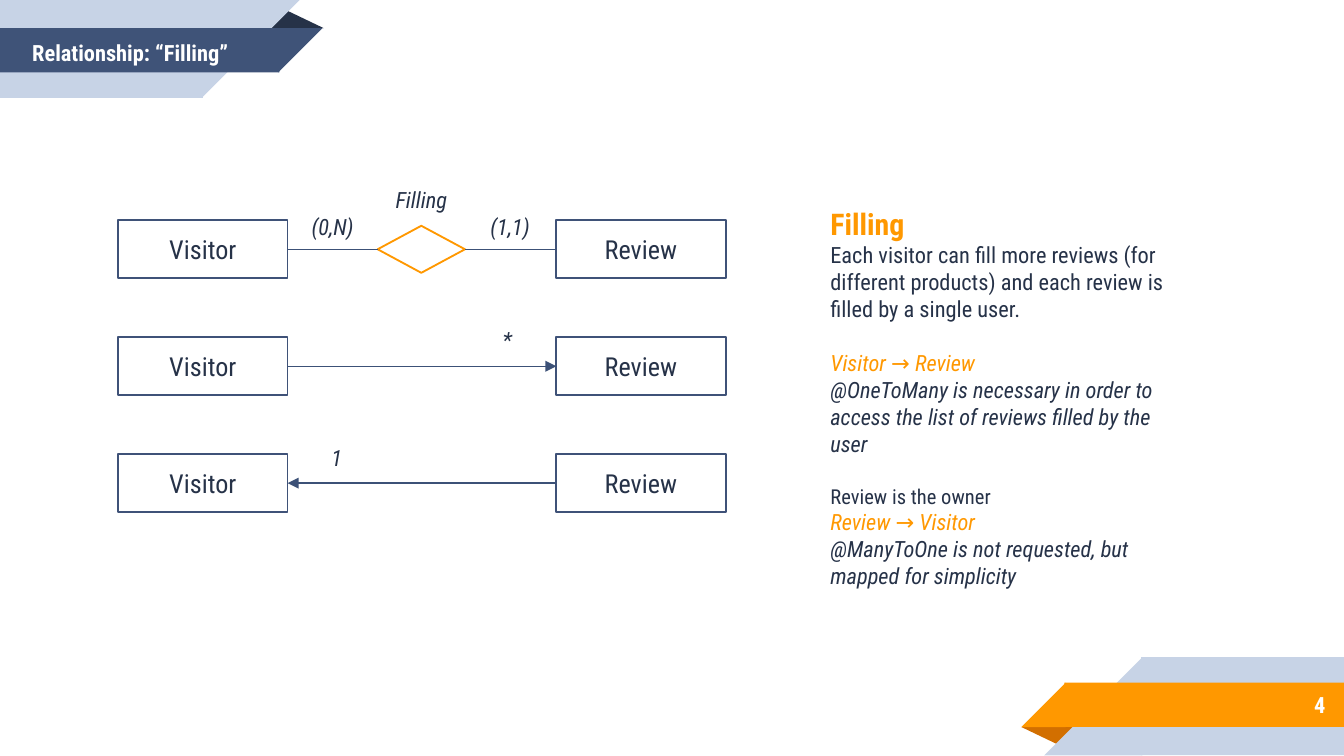
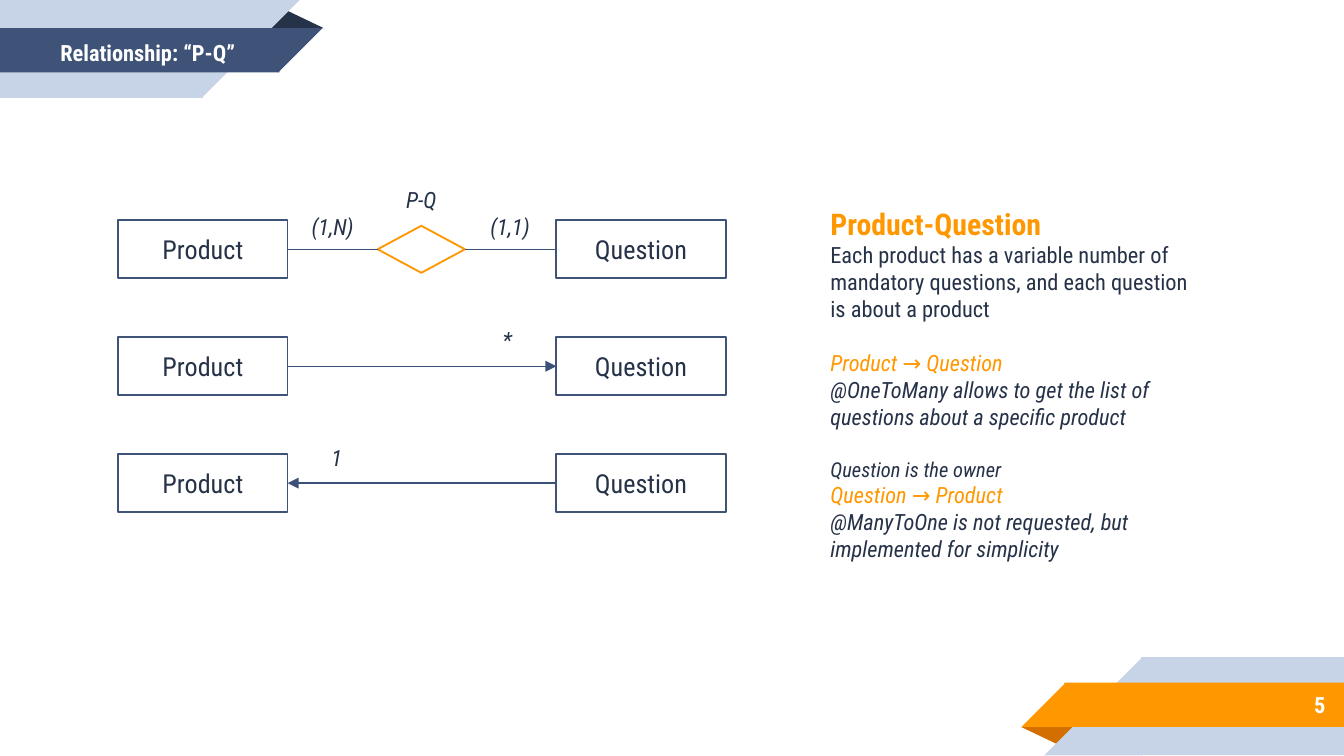
from dataclasses import dataclass

from lxml import etree
from pptx import Presentation
from pptx.dml.color import RGBColor
from pptx.enum.shapes import MSO_CONNECTOR, MSO_SHAPE
from pptx.enum.text import MSO_ANCHOR, PP_ALIGN
from pptx.oxml.ns import qn
from pptx.util import Inches, Pt

RECTANGLE = MSO_SHAPE.RECTANGLE
TRIANGLE = MSO_SHAPE.ISOSCELES_TRIANGLE
CORNER = MSO_SHAPE.RIGHT_TRIANGLE
DIAMOND = MSO_SHAPE.DIAMOND
STRAIGHT = MSO_CONNECTOR.STRAIGHT
MIDDLE = MSO_ANCHOR.MIDDLE
LEFT, CENTER, RIGHT = PP_ALIGN.LEFT, PP_ALIGN.CENTER, PP_ALIGN.RIGHT
LEFT_SIDE, RIGHT_SIDE = 1, 3


@dataclass(frozen=True)
class Theme:
    font: str = "Roboto Condensed"
    white: str = "FFFFFF"
    ink: str = "263248"
    navy: str = "3F5378"
    outline: str = "3F5278"
    link: str = "3C5177"
    pale: str = "C7D3E6"
    orange: str = "FF9800"
    rust: str = "D26F00"
    heading: int = 16
    entity: int = 14
    body: int = 12
    note: int = 11
    gap: float = 14.5
    label_gap: int = 6


THEME = Theme()


def add_box(page, kind, at, fill, line=None, rotation=0):
    box = page.shapes.add_shape(kind, *map(Inches, at))
    box.shadow.inherit = False
    box.rotation = rotation
    box.fill.solid()
    box.fill.fore_color.rgb = RGBColor.from_string(fill)
    if line:
        box.line.color.rgb = RGBColor.from_string(line)
        box.line.width = Pt(1)
    else:
        box.line.fill.background()
    return box


def style(para, text, size, color, align=LEFT, bold=False, italic=False, before=0):
    para.text = text
    para.alignment = align
    para.space_before = Pt(before)
    para.font.name = THEME.font
    para.font.size = Pt(size)
    para.font.bold = bold
    para.font.italic = italic
    para.font.color.rgb = RGBColor.from_string(color)


RELATIONSHIPS = [
    {
        "number": "4", "name": "Filling", "title_left": -0.11, "name_width": 0.65,
        "left": "Visitor", "right": "Review", "cardinality": "(0,N)",
        "heading": "Filling", "body_height": 2.79, "owner_italic": False,
        "summary": "Each visitor can fill more reviews (for different products) "
                   "and each review is filled by a single user.",
        "to_many": "@OneToMany is necessary in order to access the list of "
                   "reviews filled by the user",
        "to_one": "@ManyToOne is not requested, but mapped for simplicity",
    },
    {
        "number": "5", "name": "P-Q", "title_left": 0.02, "name_width": 1.01,
        "left": "Product", "right": "Question", "cardinality": "(1,N)",
        "heading": "Product-Question", "body_height": 3, "owner_italic": True,
        "summary": "Each product has a variable number of mandatory questions, "
                   "and each question is about a product",
        "to_many": "@OneToMany allows to get the list of questions about a "
                   "specific product",
        "to_one": "@ManyToOne is not requested, but implemented for simplicity",
    },
]

BANDS = [
    (TRIANGLE, (1.98, 0.07, 0.43, 0.14), THEME.ink, 0),
    (RECTANGLE, (0, 0, 1.51, 0.73), THEME.pale, 0),
    (CORNER, (1.5, 0, 0.73, 0.73), THEME.pale, 90),
    (RECTANGLE, (0, 0.21, 2.08, 0.33), THEME.navy, 0),
    (CORNER, (2.07, 0.21, 0.33, 0.33), THEME.navy, 90),
    (TRIANGLE, (7.6, 5.41, 0.43, 0.14), THEME.rust, 180),
    (RECTANGLE, (8.49, 4.89, 1.51, 0.73), THEME.pale, 0),
    (CORNER, (7.77, 4.89, 0.73, 0.73), THEME.pale, 270),
    (RECTANGLE, (7.92, 5.08, 2.08, 0.33), THEME.orange, 0),
    (CORNER, (7.6, 5.08, 0.33, 0.33), THEME.orange, 270),
]

ROW_TOP, ROW_STEP = 1.64, 0.87
ENTITY_WIDTH, ENTITY_HEIGHT = 1.26, 0.43
LABEL_WIDTH, LABEL_HEIGHT = 0.65, 0.27
DIAMOND_LEFT, DIAMOND_WIDTH = 2.81, 0.65

deck = Presentation()
deck.slide_width = Inches(10)
deck.slide_height = deck.slide_width * 9 // 16

for item in RELATIONSHIPS:
    page = deck.slides.add_slide(deck.slide_layouts[6])

    for kind, at, fill, rotation in BANDS:
        band = add_box(page, kind, at, fill, rotation=rotation)
        if kind == TRIANGLE:
            band.adjustments[0] = 0.32

    rows = []
    for row in range(3):
        pair = []
        for left, name in ((0.88, item["left"]), (4.14, item["right"])):
            at = (left, ROW_TOP + row * ROW_STEP, ENTITY_WIDTH, ENTITY_HEIGHT)
            entity = add_box(page, RECTANGLE, at, THEME.white, THEME.outline)
            entity.text_frame.vertical_anchor = MIDDLE
            style(entity.text_frame.paragraphs[0], name, THEME.entity, THEME.ink, CENTER)
            pair.append(entity)
        rows.append(pair)

    diamond = add_box(page, DIAMOND, (DIAMOND_LEFT, 1.68, DIAMOND_WIDTH, 0.35),
                      THEME.white, THEME.orange)

    for start, end, arrowhead in (
        (rows[0][0], diamond, None),
        (diamond, rows[0][1], None),
        (*rows[1], "a:tailEnd"),
        (*rows[2], "a:headEnd"),
    ):
        connector = page.shapes.add_connector(STRAIGHT, 0, 0, 0, 0)
        connector.begin_connect(start, RIGHT_SIDE)
        connector.end_connect(end, LEFT_SIDE)
        connector.line.color.rgb = RGBColor.from_string(THEME.link)
        connector.line.width = Pt(0.75)
        if arrowhead:
            etree.SubElement(connector.line._get_or_add_ln(), qn(arrowhead), type="triangle")
        etree.SubElement(connector._element.spPr, qn("a:effectLst"))

    name_left = DIAMOND_LEFT + (DIAMOND_WIDTH - item["name_width"]) / 2
    label_look = (THEME.ink, CENTER, False, True, THEME.label_gap)
    title_look = (THEME.white, CENTER, True)
    number_look = (THEME.white, RIGHT, True)
    for text, at, look in (
        (item["number"], (8.33, 5.07, 1.63, 0.35), number_look),
        (f"Relationship: “{item['name']}”", (item["title_left"], 0.23, 2.16, 0.33), title_look),
        (item["name"], (name_left, 1.35, item["name_width"], LABEL_HEIGHT), label_look),
        (item["cardinality"], (2.15, 1.55, LABEL_WIDTH, LABEL_HEIGHT), label_look),
        ("(1,1)", (3.47, 1.55, LABEL_WIDTH, LABEL_HEIGHT), label_look),
        ("*", (3.45, 2.39, LABEL_WIDTH, LABEL_HEIGHT), label_look),
        ("1", (2.18, 3.27, LABEL_WIDTH, LABEL_HEIGHT), label_look),
    ):
        frame = page.shapes.add_textbox(*map(Inches, at)).text_frame
        frame.word_wrap = True
        frame.vertical_anchor = MIDDLE
        frame.margin_top = frame.margin_bottom = Inches(0.1)
        style(frame.paragraphs[0], text, THEME.body, *look)

    at = (6.08, 1.48, 2.88, item["body_height"])
    frame = page.shapes.add_textbox(*map(Inches, at)).text_frame
    frame.word_wrap = True
    left, right = item["left"], item["right"]
    for index, (text, size, color, bold, italic, before) in enumerate((
        (item["heading"], THEME.heading, THEME.orange, True, False, 0),
        (item["summary"], THEME.body, THEME.ink, False, False, 0),
        (f"{left} → {right}", THEME.body, THEME.orange, False, True, THEME.gap),
        (item["to_many"], THEME.body, THEME.ink, False, True, 0),
        (f"{right} is the owner", THEME.note, THEME.ink, False, item["owner_italic"], THEME.gap),
        (f"{right} → {left}", THEME.body, THEME.orange, False, True, 0),
        (item["to_one"], THEME.body, THEME.ink, False, True, 0),
    )):
        para = frame.add_paragraph() if index else frame.paragraphs[0]
        style(para, text, size, color, LEFT, bold, italic, before)

deck.save("out.pptx")
